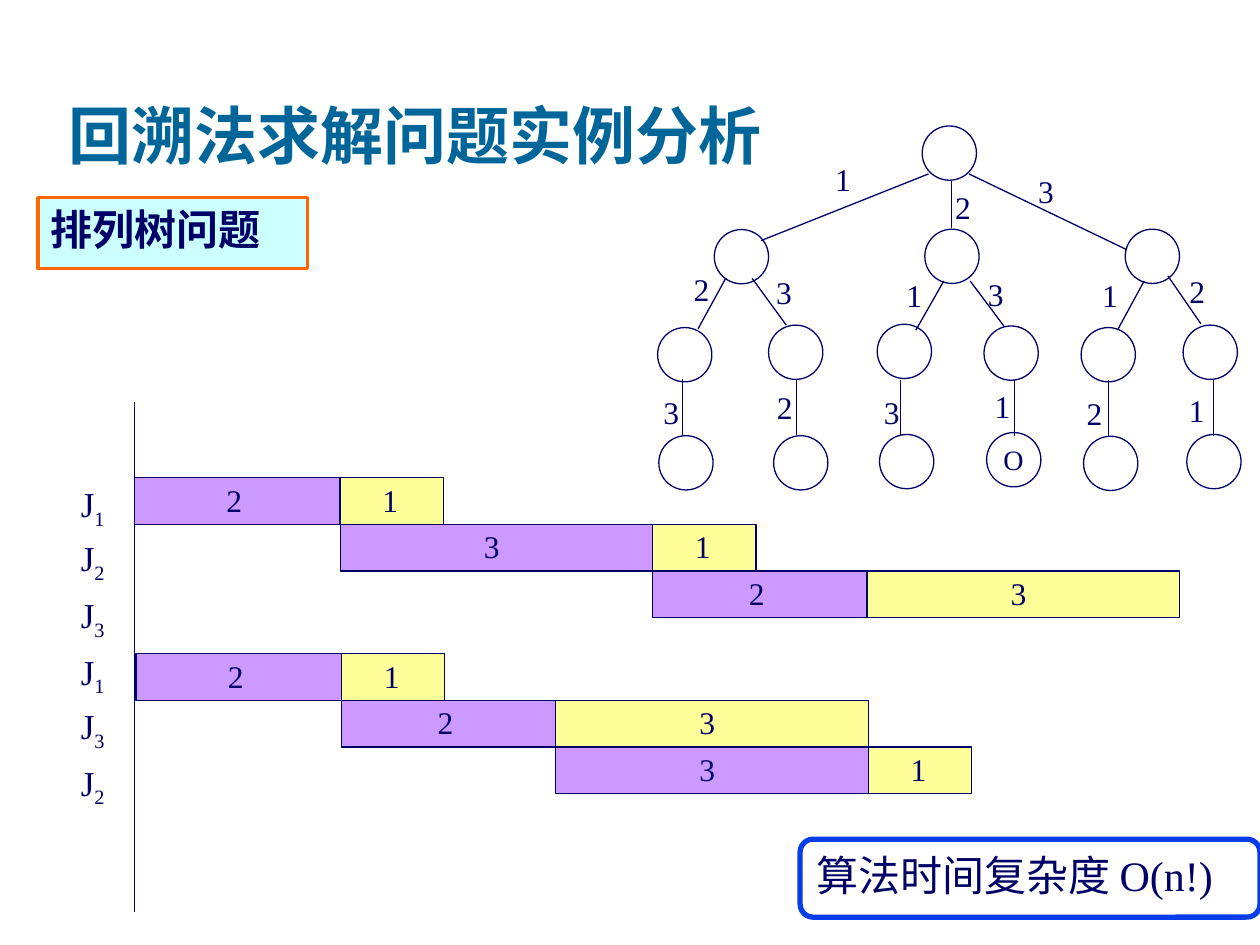
import dataclasses
import typing

import pptx
import pptx.dml.color
import pptx.enum.shapes
import pptx.enum.text
import pptx.oxml.ns
import pptx.util
from lxml import etree

Pt = pptx.util.Pt
RGB = pptx.dml.color.RGBColor.from_string
ALIGN = pptx.enum.text.PP_ALIGN
ANCHOR = pptx.enum.text.MSO_ANCHOR
SHAPE = pptx.enum.shapes.MSO_SHAPE
L, C, R = ALIGN.LEFT, ALIGN.CENTER, ALIGN.RIGHT


@dataclasses.dataclass(frozen=True)
class Theme:
    ink: str = "000066"
    title: str = "006699"
    topic_fill: str = "CCFFFF"
    topic_line: str = "FF6600"
    first_machine: str = "CC99FF"
    second_machine: str = "FFFF99"
    result_fill: str = "FFFFFF"
    result_line: str = "063DE8"
    title_font: str = "Cambria"
    font: str = "Times New Roman"
    title_size: float = 36
    callout_size: float = 24
    job_size: float = 20
    label_size: float = 18
    mark_size: float = 16
    thin: float = 0.75


class Box(typing.NamedTuple):
    x: float
    y: float
    w: float
    h: float


@dataclasses.dataclass(frozen=True)
class Edge:
    x1: float
    y1: float
    x2: float
    y2: float
    label: str
    label_x: float
    label_y: float
    align: ALIGN = R


class Operation(typing.NamedTuple):
    time: str
    width: float


@dataclasses.dataclass(frozen=True)
class Job:
    number: str
    first: Operation
    second: Operation


@dataclasses.dataclass(frozen=True)
class Schedule:
    x: float
    y: float
    label_y: float
    jobs: tuple[Job, ...]


T = Theme()
NODE = 31
ROW = 26.7
LABEL = 21.6
JOB_LABEL_STEPS = (0, 31, 63.4)

NODES = (
    (527, 72),
    (408.2, 131.2), (528.5, 131), (643, 131),
    (375.8, 187.2), (439.2, 185.8), (501.3, 185.3),
    (562.3, 186.3), (617.8, 187.2), (676.1, 185.8),
    (376.5, 249), (442.1, 249), (502.6, 248.3),
    (563.8, 247.2), (619.2, 249.3), (678.2, 248.3),
)
LEAF_EDGES = [
    Edge(x, y, x, y + 31.7, label, label_x, label_y)
    for x, y, label, label_x, label_y in (
        (390.2, 216.7, "3", 366.5, 224.6),
        (455, 216.7, "2", 431.3, 221.8),
        (514.8, 217.4, "3", 492.5, 224.6),
        (579.6, 217.4, "1", 555.8, 221),
        (633.6, 217.4, "2", 608.4, 225.4),
        (693.4, 217.4, "1", 666.7, 223.2),
    )
]
EDGES = [
    Edge(530.6, 99.4, 434.9, 137.5, "1", 470.9, 91.4, C),
    Edge(543.6, 103.7, 543.6, 130.3, "2", 545.8, 107.3, L),
    Edge(553.7, 99.4, 643.7, 142.6, "3", 593.3, 98.6, L),
    Edge(414.7, 159.1, 398.9, 187.9, "2", 383.8, 154.1),
    Edge(429.8, 159.1, 449.3, 185.8, "3", 443.5, 156.2, L),
    Edge(539.3, 160.6, 523.4, 188.6, "1", 505.4, 157.7),
    Edge(554.4, 160.6, 573.8, 186.5, "3", 564.5, 157, L),
    Edge(653.8, 160.6, 638.6, 188.6, "1", 623.5, 157.7, C),
    Edge(667.4, 157.7, 686.2, 185, "2", 679.7, 155.5, L),
] + LEAF_EDGES

J1 = Job("1", Operation("2", 117.4), Operation("1", 59))
J2 = Job("2", Operation("3", 178.6), Operation("1", 59))
J3 = Job("3", Operation("2", 122.4), Operation("3", 178.6))
SCHEDULES = (
    Schedule(77, 272.9, 275.8, (J1, J2, J3)),
    Schedule(77.8, 373.5, 371.5, (J1, J3, J2)),
)


def add_run(p, text: str, size: float, color: str = T.ink, font: str = T.font, bold: bool = False):
    r = p.add_run()
    r.text = text
    r.font.size = Pt(size)
    r.font.name = font
    r.font.bold = bold
    r.font.color.rgb = RGB(color)
    return r


def add_label(s, box: Box, text: str, size: float, align: ALIGN = C, subscript: str = "") -> None:
    tf = s.shapes.add_textbox(*map(Pt, box)).text_frame
    tf.word_wrap = True
    tf.margin_left = tf.margin_right = tf.margin_top = tf.margin_bottom = 0
    p = tf.paragraphs[0]
    p.alignment = align
    add_run(p, text, size)
    if subscript:
        r = add_run(p, subscript, size)
        r.font._element.set("baseline", "-25000")


def add_shape(s, kind: SHAPE, box: Box, fill: str = "", line: str = T.ink, weight: float = T.thin):
    sp = s.shapes.add_shape(kind, *map(Pt, box))
    sp.shadow.inherit = False
    if fill:
        sp.fill.solid()
        sp.fill.fore_color.rgb = RGB(fill)
    else:
        sp.fill.background()
    sp.line.color.rgb = RGB(line)
    sp.line.width = Pt(weight)
    return sp


def add_line(s, x1: float, y1: float, x2: float, y2: float) -> None:
    line = s.shapes.add_connector(pptx.enum.shapes.MSO_CONNECTOR.STRAIGHT, *map(Pt, (x1, y1, x2, y2)))
    line.line.color.rgb = RGB(T.ink)
    line.line.width = Pt(T.thin)
    etree.SubElement(line._element.spPr, pptx.oxml.ns.qn("a:effectLst"))


def add_callout(s, kind: SHAPE, box: Box, text: str, fill: str, line: str, weight: float, bold: bool) -> None:
    sp = add_shape(s, kind, box, fill, line, weight)
    tf = sp.text_frame
    tf.word_wrap = True
    tf.vertical_anchor = ANCHOR.TOP
    p = tf.paragraphs[0]
    p.alignment = L
    add_run(p, text, T.callout_size, bold=bold)


def add_title(s, box: Box, text: str) -> None:
    sp = s.shapes.title
    sp.left, sp.top, sp.width, sp.height = map(Pt, box)
    tf = sp.text_frame
    tf.auto_size = pptx.enum.text.MSO_AUTO_SIZE.NONE
    tf.vertical_anchor = ANCHOR.BOTTOM
    p = tf.paragraphs[0]
    p.alignment = L
    add_run(p, text, T.title_size, T.title, T.title_font, True)


def add_bar(s, x: float, y: float, op: Operation, fill: str) -> None:
    add_shape(s, SHAPE.RECTANGLE, Box(x, y, op.width, ROW), fill)
    add_label(s, Box(x + 0.26 * op.width, y + 1.8, 0.45 * op.width, LABEL), op.time, T.label_size)


def add_tree(s) -> None:
    for x, y in NODES:
        add_shape(s, SHAPE.OVAL, Box(x, y, NODE, NODE))
    add_label(s, Box(570.2, 252.7, 18, 19.4), "O", T.mark_size)
    for e in EDGES:
        add_line(s, e.x1, e.y1, e.x2, e.y2)
        add_label(s, Box(e.label_x, e.label_y, LABEL, LABEL), e.label, T.label_size, e.align)


def add_schedule(s, schedule: Schedule) -> None:
    x = schedule.x
    for row, (job, step) in enumerate(zip(schedule.jobs, JOB_LABEL_STEPS)):
        y = schedule.y + row * ROW
        add_label(s, Box(32.5, schedule.label_y + step, 41, 27.4), "J", T.job_size, subscript=job.number)
        add_bar(s, x, y, job.first, T.first_machine)
        x += job.first.width
        add_bar(s, x, y, job.second, T.second_machine)


def main() -> None:
    prs = pptx.Presentation()
    prs.slide_width, prs.slide_height = Pt(720), Pt(540)
    s = prs.slides.add_slide(prs.slide_layouts[5])
    add_title(s, Box(31.7, 12.2, 612, 90), "回溯法求解问题实例分析")
    add_callout(s, SHAPE.RECTANGLE, Box(21.6, 113, 154, 40.5), "排列树问题",
                T.topic_fill, T.topic_line, 2, True)
    add_tree(s)
    for schedule in SCHEDULES:
        add_schedule(s, schedule)
    add_line(s, 77, 229.7, 77, 521.3)
    add_callout(s, SHAPE.ROUNDED_RECTANGLE, Box(457.2, 479.5, 262.8, 44.6), "算法时间复杂度 O(n!)",
                T.result_fill, T.result_line, 3, False)
    prs.save("out.pptx")


if __name__ == "__main__":
    main()
